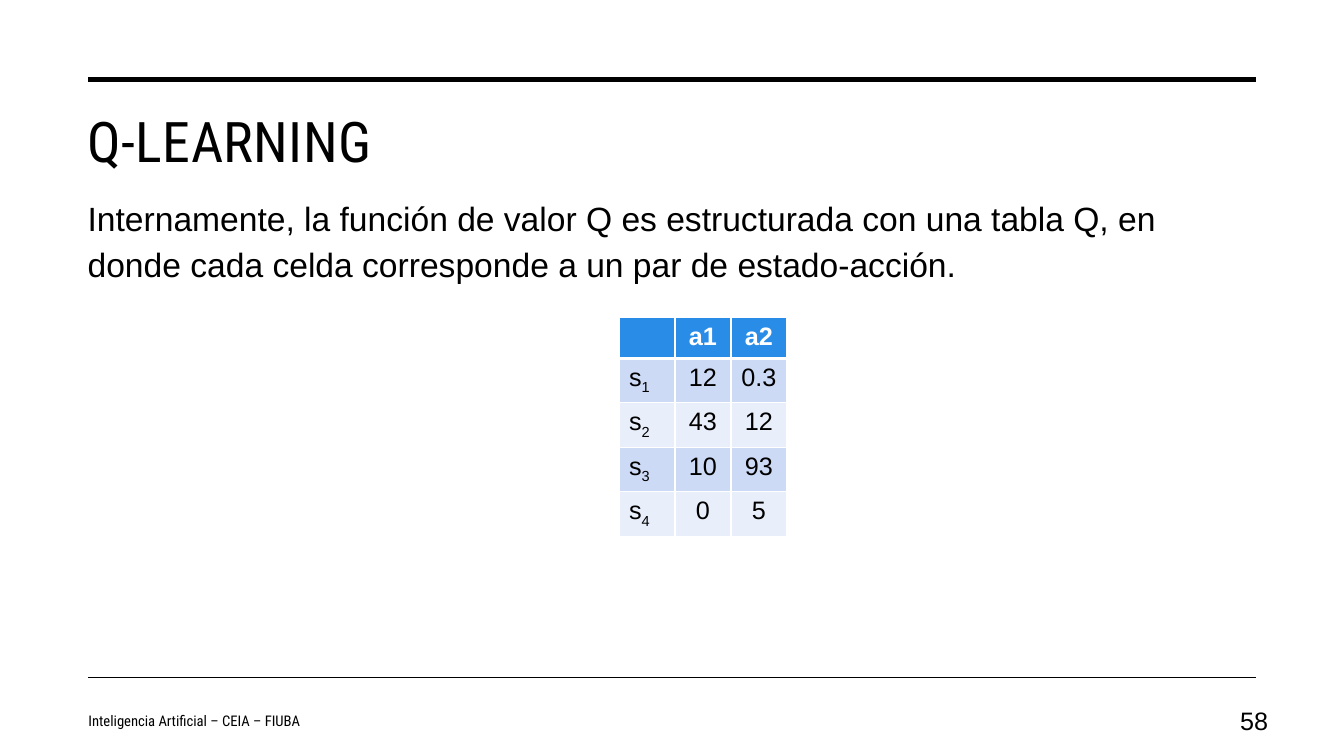
from lxml import etree
from pptx import Presentation
from pptx.dml.color import RGBColor
from pptx.enum.shapes import MSO_CONNECTOR
from pptx.enum.text import MSO_ANCHOR, PP_ALIGN
from pptx.oxml.ns import qn
from pptx.util import Cm, Pt

LEFT, CENTER, RIGHT = PP_ALIGN.LEFT, PP_ALIGN.CENTER, PP_ALIGN.RIGHT
TOP, MIDDLE = MSO_ANCHOR.TOP, MSO_ANCHOR.MIDDLE
STRAIGHT = MSO_CONNECTOR.STRAIGHT

HEAD, BODY = "Roboto Condensed", "Arial"
BLACK, WHITE, BLUE = "000000", "FFFFFF", "298CE7"
BANDS = ["CDDAF6", "E8EEFA"]

TITLE = "Q-LEARNING"
INTRO = ("Internamente, la función de valor Q es estructurada con una tabla Q, "
         "en donde cada celda corresponde a un par de estado-acción.")
FOOTER = "Inteligencia Artificial – CEIA – FIUBA"
PAGE = "58"
ACTIONS = ["a1", "a2"]
Q_VALUES = [("12", "0.3"), ("43", "12"), ("10", "93"), ("0", "5")]

RULES = [(2.0, 3.5), (17.07, 1)]
RULE_LEFT, RULE_RIGHT = 2.23, 31.65
TABLE_LEFT, TABLE_TOP = 15.6, 8.0
COL_W, ROW_H = 1.41, 1.03


def color(value):
    return RGBColor.from_string(value)


def add_run(p, text, size, font=BODY, fill=BLACK, bold=False):
    r = p.add_run()
    r.text = text
    r.font.size, r.font.name, r.font.bold = Pt(size), font, bold
    r.font.color.rgb = color(fill)
    return r


def add_text(s, box, text, size, font, anchor=TOP, align=LEFT, spacing=1.0):
    tf = s.shapes.add_textbox(*map(Cm, box)).text_frame
    tf.word_wrap = True
    tf.vertical_anchor = anchor
    p = tf.paragraphs[0]
    p.alignment, p.line_spacing = align, spacing
    return add_run(p, text, size, font)


def add_rule(s, y, width):
    line = s.shapes.add_connector(STRAIGHT, Cm(RULE_LEFT), Cm(y), Cm(RULE_RIGHT), Cm(y))
    line.line.color.rgb = color(BLACK)
    line.line.width = Pt(width)
    etree.SubElement(line._element.spPr, qn("a:effectLst"))


def style_cell(cell, fill, top, bottom):
    tcPr = cell._tc.get_or_add_tcPr()
    for side, width in (("L", 1), ("R", 1), ("T", top), ("B", bottom)):
        ln = etree.SubElement(tcPr, qn("a:ln" + side), w=str(Pt(width)))
        solid = etree.SubElement(ln, qn("a:solidFill"))
        etree.SubElement(solid, qn("a:srgbClr"), val=WHITE)
    cell.fill.solid()
    cell.fill.fore_color.rgb = color(fill)


def add_q_table(s):
    rows, cols = len(Q_VALUES) + 1, len(ACTIONS) + 1
    table = s.shapes.add_table(rows, cols, Cm(TABLE_LEFT), Cm(TABLE_TOP),
                               Cm(COL_W * cols), Cm(ROW_H * rows)).table
    for col in table.columns:
        col.width = Cm(COL_W)
    for i, values in enumerate([ACTIONS] + Q_VALUES):
        header = i == 0
        table.rows[i].height = Cm(ROW_H)
        for j in range(cols):
            cell = table.cell(i, j)
            style_cell(cell, BLUE if header else BANDS[(i - 1) % 2],
                       3 if i == 1 else 1, 3 if header else 1)
            p = cell.text_frame.paragraphs[0]
            if j:
                p.alignment = CENTER
                add_run(p, values[j - 1], 18, fill=WHITE if header else BLACK, bold=header)
            elif not header:
                add_run(p, "s", 18)
                add_run(p, str(i), 18).font._element.set("baseline", "-25000")


def main():
    """Build the Q-learning slide."""
    prs = Presentation()
    prs.slide_width, prs.slide_height = Cm(33.87), Cm(19.05)
    s = prs.slides.add_slide(prs.slide_layouts[6])
    for y, width in RULES:
        add_rule(s, y, width)
    title = add_text(s, (1.96, 2.57, 29.69, 2.59), TITLE, 40, HEAD)
    title.font._element.set("spc", "30")
    add_text(s, (1.98, 17.65, 12.6, 1.02), FOOTER, 10.5, HEAD, MIDDLE)
    add_text(s, (1.96, 4.72, 29.69, 12.17), INTRO, 24, BODY, spacing=1.14)
    add_text(s, (30.33, 17.65, 1.88, 1.02), PAGE, 18, BODY, MIDDLE, RIGHT)
    add_q_table(s)
    prs.save("out.pptx")


if __name__ == "__main__":
    main()
